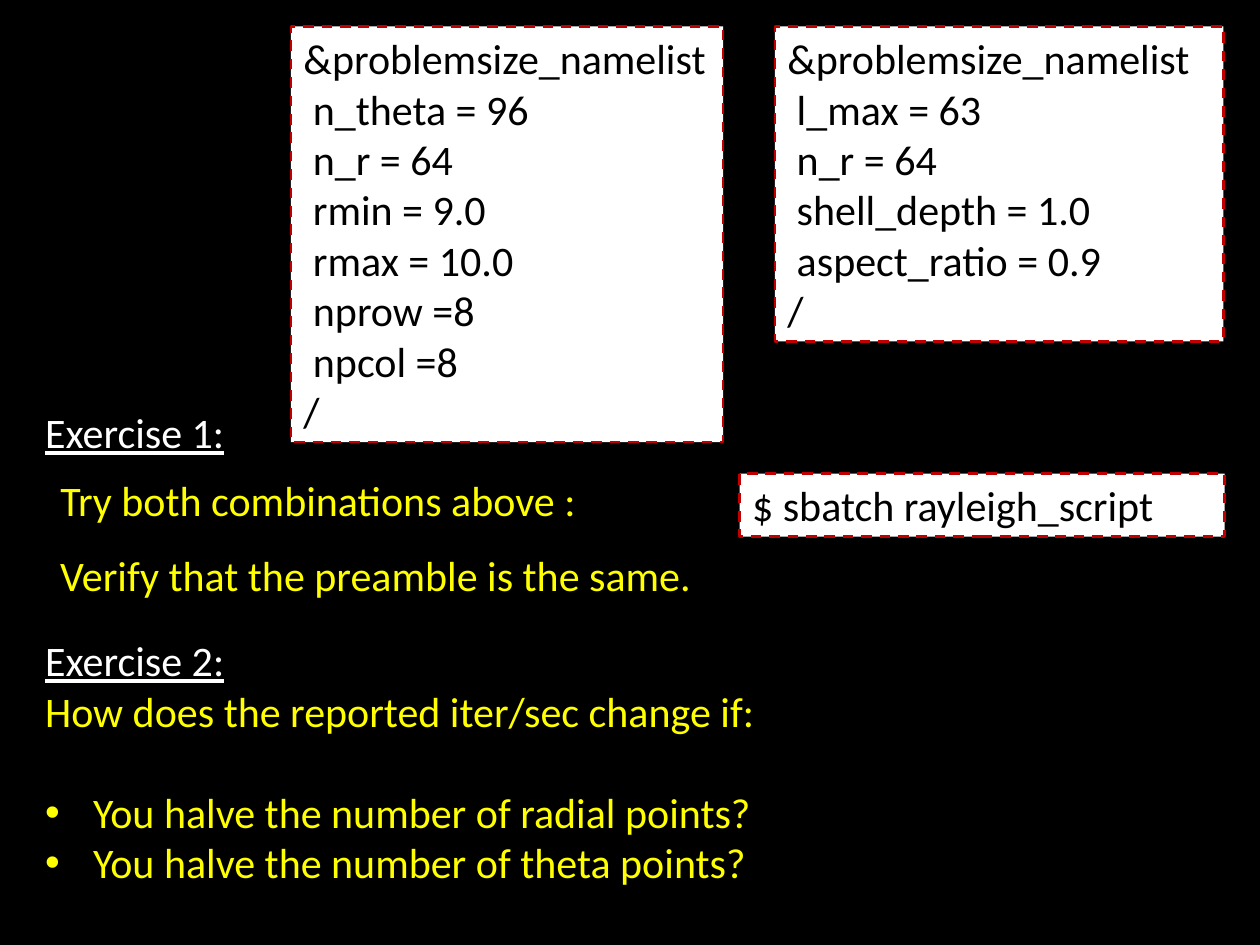
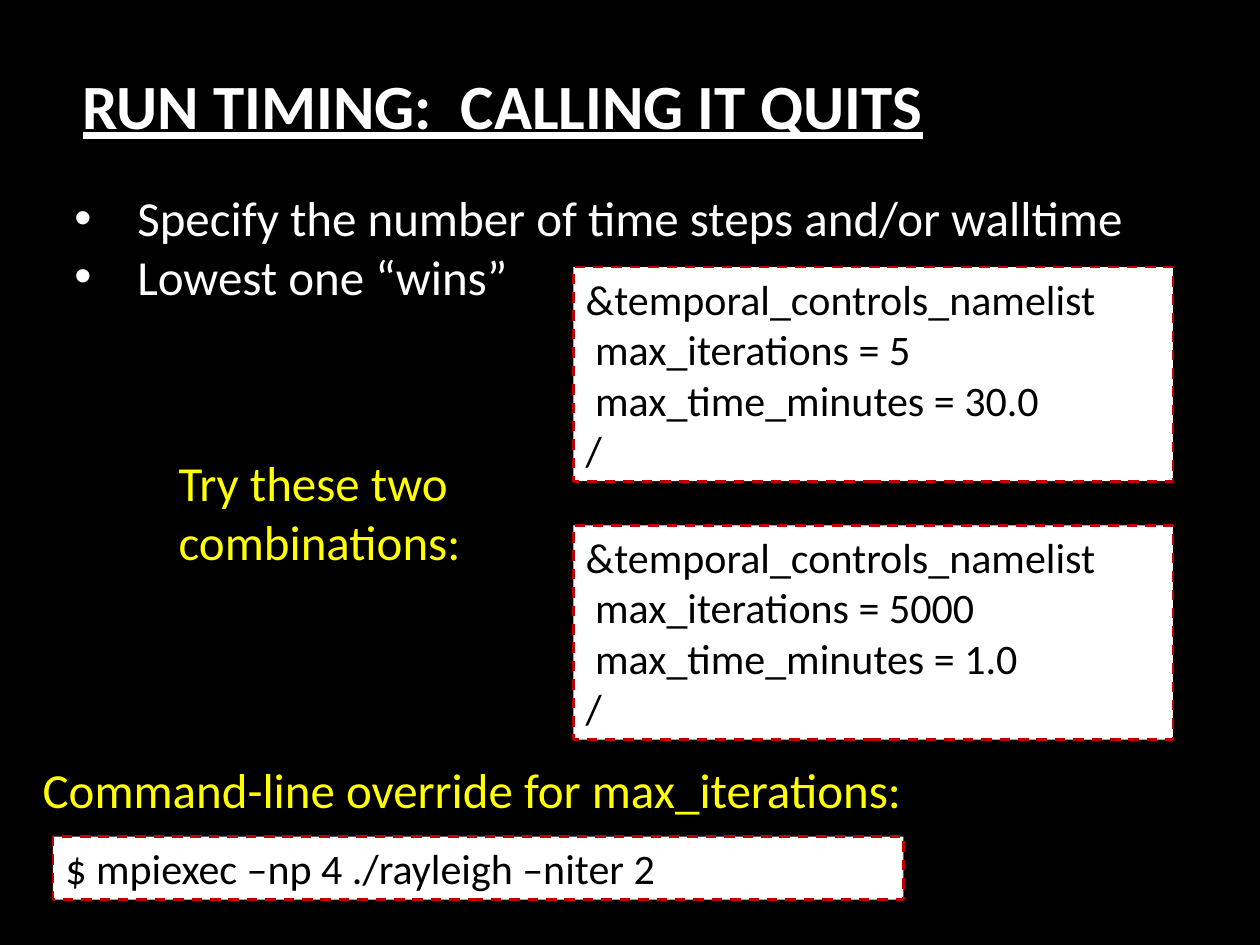
from lxml.etree import SubElement
from pptx import Presentation
from pptx.dml.color import RGBColor
from pptx.enum.dml import MSO_LINE
from pptx.enum.shapes import MSO_SHAPE
from pptx.enum.text import MSO_ANCHOR, MSO_AUTO_SIZE, PP_ALIGN
from pptx.oxml.ns import qn
from pptx.util import Inches, Pt

# Shared style
COLORS = {
    "background": "000000",
    "heading": "FFFFFF",
    "task": "FFFF00",
    "code": "000000",
    "code_fill": "FFFFFF",
    "code_border": "C00000",
}
FONT = "Calibri"
CODE_LINE = 0.4    # height of one 24 pt line, inches
CODE_MARGIN = 0.1  # top and bottom insets together, inches


def rgb(name):
    return RGBColor.from_string(COLORS[name])


def write_text(frame, text, color="task", size=24, bold=False, underline=False,
               align=PP_ALIGN.LEFT, bullet_indent=None, space_before=0):
    """Add each line of text to the frame as a paragraph."""
    for line in text.split("\n"):
        paragraph = frame.add_paragraph() if frame.text else frame.paragraphs[0]
        paragraph.alignment = align
        paragraph.space_before = Pt(space_before)
        space_before = 0
        run = paragraph.add_run()
        run.text = line
        run.font.name = FONT
        run.font.size = Pt(size)
        run.font.bold = bold
        run.font.underline = underline
        run.font.color.rgb = rgb(color)
        if bullet_indent:
            add_bullet(paragraph, Inches(bullet_indent))


def add_bullet(paragraph, indent):
    properties = paragraph._p.get_or_add_pPr()
    properties.set("marL", str(indent))
    properties.set("indent", str(-indent))
    SubElement(properties, qn("a:buFont")).set("typeface", "Arial")
    SubElement(properties, qn("a:buChar")).set("char", "•")


def add_text(slide, left, top, width, height, text, wrap=False, **text_format):
    box = slide.shapes.add_textbox(Inches(left), Inches(top), Inches(width), Inches(height))
    frame = box.text_frame
    frame.word_wrap = wrap
    frame.auto_size = MSO_AUTO_SIZE.SHAPE_TO_FIT_TEXT
    write_text(frame, text, **text_format)
    return frame


def add_title(slide, text):
    frame = add_text(slide, -0.25, 0.03, 8.48, 1.59, text, wrap=True, color="heading",
                     size=36, bold=True, underline=True, align=PP_ALIGN.CENTER)
    frame.auto_size = MSO_AUTO_SIZE.NONE
    frame.vertical_anchor = MSO_ANCHOR.MIDDLE


def add_code(slide, left, top, width, text):
    """White box with a dashed border, as tall as its lines need."""
    height = CODE_LINE * len(text.split("\n")) + CODE_MARGIN
    box = slide.shapes.add_shape(MSO_SHAPE.RECTANGLE, Inches(left), Inches(top),
                                 Inches(width), Inches(height))
    box.shadow.inherit = False
    box.fill.solid()
    box.fill.fore_color.rgb = rgb("code_fill")
    box.line.color.rgb = rgb("code_border")
    box.line.width = Pt(1.5)
    box.line.dash_style = MSO_LINE.DASH
    frame = box.text_frame
    frame.word_wrap = True
    frame.auto_size = MSO_AUTO_SIZE.SHAPE_TO_FIT_TEXT
    frame.vertical_anchor = MSO_ANCHOR.TOP
    write_text(frame, text, color="code")


def namelist(name, *settings):
    return "\n".join([f"&{name}_namelist", *(f" {setting}" for setting in settings), "/"])


def add_slide(deck):
    slide = deck.slides.add_slide(deck.slide_layouts[6])
    slide.background.fill.solid()
    slide.background.fill.fore_color.rgb = rgb("background")
    return slide


def build_exercises(deck):
    slide = add_slide(deck)

    # Two equivalent problem sizes
    add_code(slide, 2.31, 0.21, 3.43, namelist(
        "problemsize", "n_theta = 96", "n_r = 64", "rmin = 9.0", "rmax = 10.0",
        "nprow =8", "npcol =8"))
    add_code(slide, 6.15, 0.21, 3.56, namelist(
        "problemsize", "l_max = 63", "n_r = 64", "shell_depth = 1.0", "aspect_ratio = 0.9"))

    # Exercise 1
    add_text(slide, 0.26, 3.18, 1.64, 0.5, "Exercise 1:", color="heading", underline=True)
    add_text(slide, 0.38, 3.72, 4.41, 0.5, "Try both combinations above :")
    add_text(slide, 0.38, 4.31, 5.26, 0.5, "Verify that the preamble is the same.")
    add_code(slide, 5.87, 3.76, 3.85, "$ sbatch rayleigh_script")

    # Exercise 2
    exercise = add_text(slide, 0.26, 4.99, 5.89, 2.12, "Exercise 2:",
                        color="heading", underline=True)
    write_text(exercise, "How does the reported iter/sec change if:")
    write_text(exercise, "You halve the number of radial points?\n"
                         "You halve the number of theta points?",
               bullet_indent=0.38, space_before=29)


def build_run_timing(deck):
    slide = add_slide(deck)
    add_title(slide, "RUN TIMING:  CALLING IT QUITS")

    # Rules for stopping a run
    rules = add_text(slide, 0.59, 1.49, 9.33, 1.55,
                     "Specify the number of time steps and/or walltime\nLowest one “wins”",
                     wrap=True, color="heading", size=28, bullet_indent=0.5)
    rules.margin_left = rules.margin_right = rules.margin_top = rules.margin_bottom = 0

    # Combinations to try
    add_text(slide, 1.32, 3.54, 2.47, 1.04, "Try these two\ncombinations:", size=28)
    for top, iterations, minutes in ((2.12, "5", "30.0"), (4.17, "5000", "1.0")):
        add_code(slide, 4.55, top, 4.76, namelist(
            "temporal_controls", f"max_iterations = {iterations}",
            f"max_time_minutes = {minutes}"))

    # Command-line override
    add_text(slide, 0.24, 5.98, 7.09, 0.57,
             "Command-line override for max_iterations:", size=28)
    add_code(slide, 0.42, 6.64, 6.75, "$ mpiexec –np 4 ./rayleigh –niter 2")


def main():
    deck = Presentation()
    deck.slide_width = Inches(10)
    deck.slide_height = Inches(7.5)
    build_exercises(deck)
    build_run_timing(deck)
    deck.save("out.pptx")


if __name__ == "__main__":
    main()
